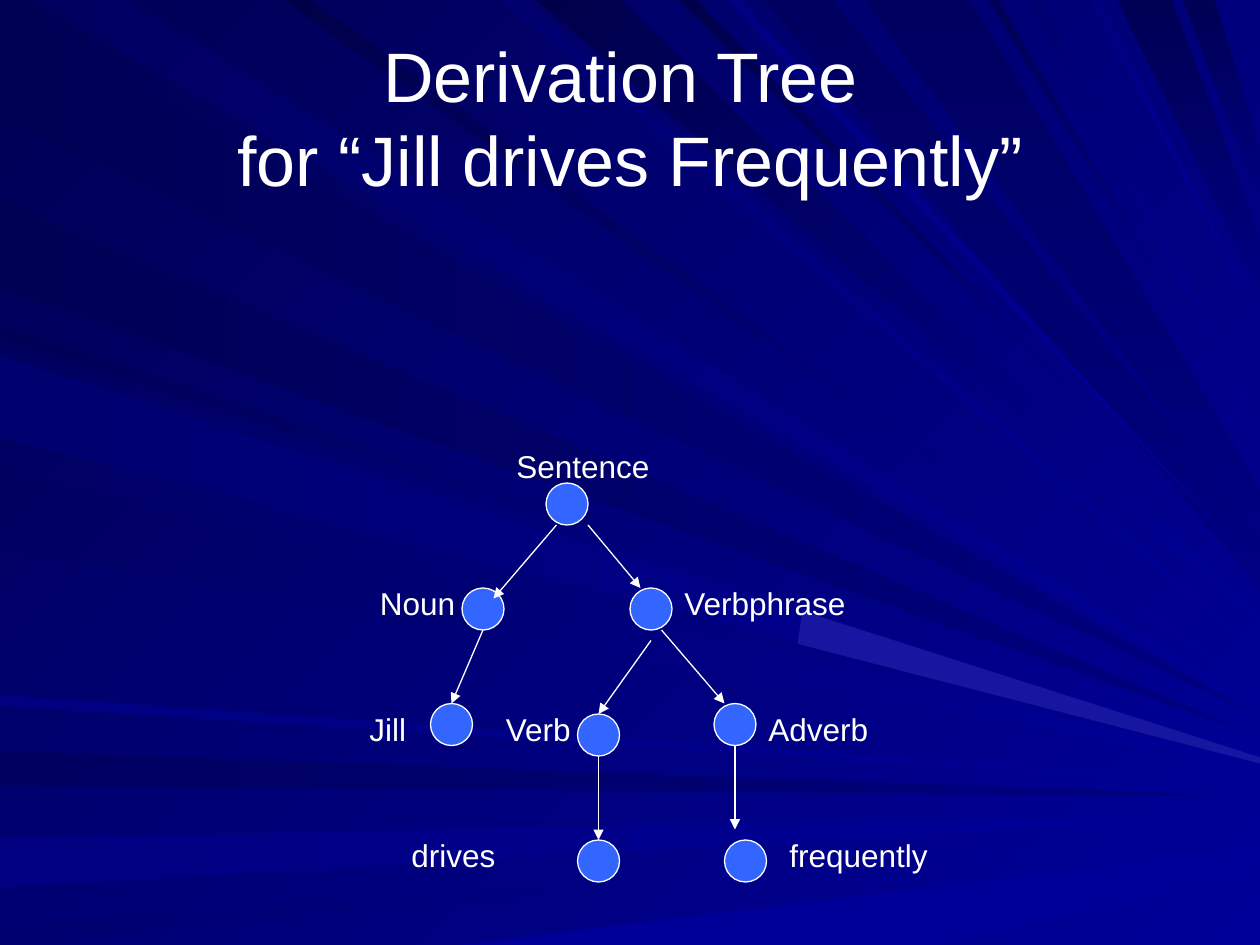
from lxml.etree import SubElement
from pptx import Presentation
from pptx.dml.color import RGBColor as Rgb
from pptx.enum.shapes import MSO_CONNECTOR as Link, MSO_SHAPE as Shape
from pptx.enum.text import MSO_ANCHOR as Anchor, MSO_AUTO_SIZE as Auto, PP_ALIGN as Align
from pptx.oxml.ns import qn
from pptx.util import Cm, Pt

COLORS = {
    "ink": "FFFFFF", "node": "3366FF", "night": "00004A", "dark": "000055",
    "deep": "000060", "dim": "00006E", "mid": "000080", "full": "000099",
    "pale": "1616A1",
}
FONT = "Arial"
TITLE = ["Derivation Tree ", "for “Jill drives Frequently”"]

NODES = [
    ("Sentence", (52, 46), (48, 42)),
    ("Noun", (44, 56), (35, 55)),
    ("Verbphrase", (60, 56), (64, 55), 20),
    ("Jill", (41, 67), (34, 67)),
    ("Verb", (55, 68), (47, 67)),
    ("Adverb", (68, 67), (72, 67)),
    ("drives", (55, 80), (38, 79)),
    ("frequently", (69, 80), (74, 79)),
]
ARROWS = [
    (53, 50, 47, 57), (56, 50, 61, 56), (46, 60, 43, 67), (62, 61, 57, 68),
    (63, 60, 69, 67), (57, 72, 57, 80), (70, 71, 70, 79),
]

LEFT, DIAG, DOWN = 180, 135, 270
EDGE, SPREAD = 1000, 20
SIDE_RAYS = [
    ("mid", "dark", LEFT, [(2, 93, 569), (159, 228, 585)]),
    ("full", "dark", DIAG, [(258, 270, 589)]),
    ("mid", "deep", LEFT, [(596, 623, 632)]),
    ("full", "mid", LEFT, [(665, 704, 647), (552, 560, 622)]),
    ("full", "deep", DIAG, [(278, 342, 600), (374, 437, 606)]),
    ("full", "dim", LEFT, [(735, 750, 662), (283, 347, 603)]),
]
TOP_RAYS = [
    ("full", "deep", DIAG, [(26, 101, 563)]),
    ("full", "dim", DIAG, [(398, 416, 520), (815, 824, 336)]),
    ("full", "night", DIAG, [(426, 492, 493), (540, 552, 463), (225, 247, 550)]),
    ("deep", "mid", DOWN, [(606, 661, 446), (686, 770, 409)]),
    ("dark", "mid", DOWN, [(887, 930, 210), (939, 964, 140)]),
    ("full", "mid", DIAG, [(577, 588, 454), (865, 872, 254)]),
    ("full", "dark", DIAG, [(785, 792, 357)]),
]
GLOWS = [
    ("full", [(364, 750), (742, 750), (EDGE, 694), (EDGE, 672)]),
    ("pale", [(633, 511), (637, 485), (EDGE, 601), (EDGE, 606)]),
]


def tint(key):
    return Rgb.from_string(COLORS[key])


def unit(num):
    return Cm(num * 2.54 / 12)


def paint(fill, first, last=None, turn=None):
    if last is None:
        fill.solid()
        fill.fore_color.rgb = tint(first)
        return
    fill.gradient()
    fill.gradient_angle = turn
    for stop, key in zip(fill.gradient_stops, (first, last)):
        stop.color.rgb = tint(key)


def edge(line):
    line.color.rgb = tint("ink")
    line.width = Pt(0.75)


def write(para, text, size):
    run = para.add_run()
    run.text = text
    run.font.name = FONT
    run.font.size = Pt(size)
    run.font.color.rgb = tint("ink")


def add_ray(shapes, dots, *look):
    pen = shapes.build_freeform(*dots[0], scale=Cm(0.0254))
    pen.add_line_segments(dots[1:], close=True)
    ray = pen.convert_to_shape()
    ray.shadow.inherit = False
    ray.line.fill.background()
    paint(ray.fill, *look)


def draw_rays(slide):
    group = slide.shapes.add_group_shape()
    for first, last, turn, rays in SIDE_RAYS:
        for high, low, end in rays:
            dots = [(0, high), (0, low), (EDGE, end)]
            add_ray(group.shapes, dots, first, last, turn)
    for first, last, turn, rays in TOP_RAYS:
        half = SPREAD if turn == DOWN else 0
        for near, far, end in rays:
            dots = [(near, 0), (far, 0), (EDGE, end - half), (EDGE, end + half)]
            add_ray(group.shapes, dots, first, last, turn)
    for key, dots in GLOWS:
        add_ray(group.shapes, dots, key)
    slide.shapes.title.element.addprevious(group.element)


def set_title(title):
    title.left, title.top = Cm(1.27), Cm(0.76)
    title.width, title.height = Cm(22.86), Cm(3.18)
    frame = title.text_frame
    frame.auto_size = Auto.NONE
    frame.vertical_anchor = Anchor.MIDDLE
    para = frame.paragraphs[0]
    para.alignment = Align.CENTER
    write(para, TITLE[0], 40)
    para.add_line_break()
    write(para, TITLE[1], 40)


def add_node(shapes, text, spot, place, wide=16):
    node = shapes.add_shape(Shape.OVAL, *map(unit, (*spot, 4, 4)))
    node.shadow.inherit = False
    paint(node.fill, "node")
    edge(node.line)
    label = shapes.add_textbox(*map(unit, (*place, wide, 4.8)))
    frame = label.text_frame
    frame.word_wrap = True
    frame.auto_size = Auto.SHAPE_TO_FIT_TEXT
    write(frame.paragraphs[0], text, 18)


def add_arrow(shapes, ends):
    arrow = shapes.add_connector(Link.STRAIGHT, *map(unit, ends))
    edge(arrow.line)
    props = arrow.element.spPr
    SubElement(props.find(qn("a:ln")), qn("a:tailEnd"), type="triangle")
    SubElement(props, qn("a:effectLst"))


def main():
    deck = Presentation()
    deck.slide_width, deck.slide_height = Cm(25.4), Cm(19.05)
    slide = deck.slides.add_slide(deck.slide_layouts[5])
    paint(slide.background.fill, "full", "dark", DIAG)
    draw_rays(slide)
    set_title(slide.shapes.title)
    for node in NODES:
        add_node(slide.shapes, *node)
    for ends in ARROWS:
        add_arrow(slide.shapes, ends)
    deck.save("out.pptx")


if __name__ == "__main__":
    main()
